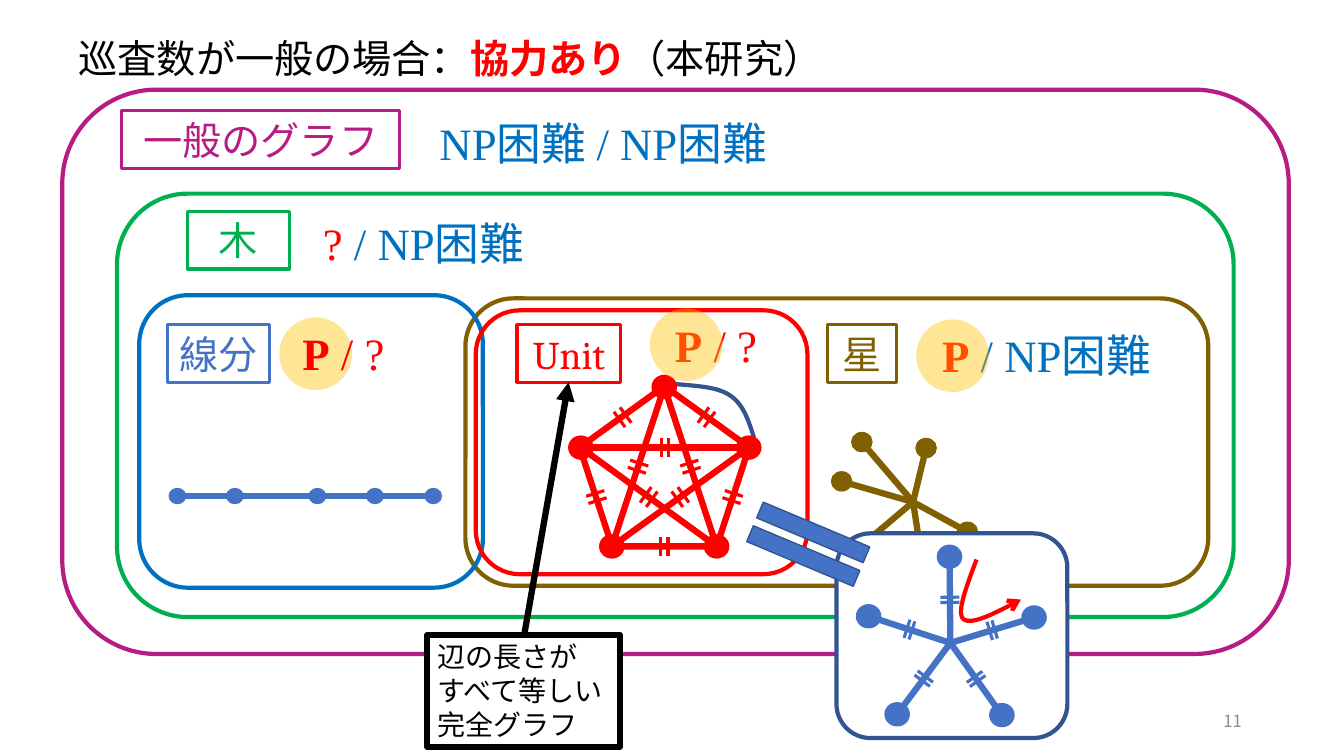
import dataclasses
import itertools
import math

import lxml.etree
import pptx
import pptx.dml.color
import pptx.enum.shapes
import pptx.enum.text
import pptx.oxml.ns
import pptx.util

Cm = pptx.util.Cm
qn = pptx.oxml.ns.qn
SHAPE = pptx.enum.shapes.MSO_SHAPE
ALIGN = pptx.enum.text.PP_ALIGN
ANCHOR = pptx.enum.text.MSO_ANCHOR


@dataclasses.dataclass(frozen=True)
class Theme:
    black: str = "000000"
    white: str = "FFFFFF"
    red: str = "FF0000"
    purple: str = "B61C83"
    green: str = "00B050"
    brown: str = "806000"
    blue: str = "0070C0"
    steel: str = "4472C4"
    navy: str = "325491"
    amber: str = "FFC000"
    grey: str = "8C8C8C"
    japanese: str = "Noto Sans CJK JP"
    serif: str = "Times New Roman"
    unit: str = "Cambria"
    result_size: int = 32
    label_size: int = 28
    note_size: int = 20
    number_size: int = 12
    node_line: float = 1
    tick_line: float = 2.25
    frame_line: float = 3
    edge_line: float = 4.5


class Board:
    def __init__(self, slide, theme):
        self.slide = slide
        self.theme = theme

    def color(self, value):
        return pptx.dml.color.RGBColor.from_string(value)

    def shape(self, kind, box, line=None, width=1, fill=None, alpha=None):
        shape = self.slide.shapes.add_shape(kind, *map(Cm, box))
        return self.paint(shape, line, width, fill, alpha)

    def paint(self, shape, line, width, fill=None, alpha=None):
        shape.shadow.inherit = False
        if fill:
            shape.fill.solid()
            shape.fill.fore_color.rgb = self.color(fill)
        else:
            shape.fill.background()
        if alpha:
            fill_color = shape.element.spPr.find(qn("a:solidFill"))[0]
            lxml.etree.SubElement(fill_color, qn("a:alpha"), val=str(alpha * 1000))
        if line:
            shape.line.color.rgb = self.color(line)
            shape.line.width = pptx.util.Pt(width)
        else:
            shape.line.fill.background()
        return shape

    def arrowhead(self, shape, kind):
        line = shape.element.spPr.find(qn("a:ln"))
        lxml.etree.SubElement(line, qn("a:tailEnd"), type=kind)

    def frame(self, box, line, fill=None):
        self.shape(SHAPE.ROUNDED_RECTANGLE, box, line, self.theme.frame_line, fill)

    def node(self, center, color, width=0.61, height=0.58):
        x, y = center
        box = (x - width / 2, y - height / 2, width, height)
        self.shape(SHAPE.OVAL, box, color, self.theme.node_line, color)

    def halo(self, left, top):
        self.shape(SHAPE.OVAL, (left, top, 1.83, 1.83), fill=self.theme.amber, alpha=41)

    def edge(self, start, end, color, width=None, head=None):
        connector = self.slide.shapes.add_connector(
            pptx.enum.shapes.MSO_CONNECTOR.STRAIGHT, *map(Cm, (*start, *end)))
        connector.line.color.rgb = self.color(color)
        connector.line.width = pptx.util.Pt(width or self.theme.edge_line)
        lxml.etree.SubElement(connector.element.spPr, qn("a:effectLst"))
        if head:
            self.arrowhead(connector, head)

    def ticks(self, start, end, color, gap):
        (x1, y1), (x2, y2) = start, end
        length = math.dist(start, end)
        along_x, along_y = (x2 - x1) / length, (y2 - y1) / length
        half = 0.24
        for offset in (-gap / 2, gap / 2):
            x = (x1 + x2) / 2 + offset * along_x
            y = (y1 + y2) / 2 + offset * along_y
            self.edge((x - half * along_y, y + half * along_x),
                      (x + half * along_y, y - half * along_x),
                      color, self.theme.tick_line)

    def curve(self, controls, color, head=None):
        steps = 16
        points = []
        for first in range(0, len(controls) - 1, 3):
            for step in range(1, steps + 1):
                t = step / steps
                weights = [math.comb(3, k) * t**k * (1 - t)**(3 - k) for k in range(4)]
                section = controls[first:first + 4]
                points.append(tuple(
                    Cm(sum(weight * point[axis] for weight, point in zip(weights, section)))
                    for axis in (0, 1)))
        builder = self.slide.shapes.build_freeform(*map(Cm, controls[0]))
        builder.add_line_segments(points, close=False)
        shape = self.paint(builder.convert_to_shape(), color, self.theme.frame_line)
        if head:
            self.arrowhead(shape, head)

    def fill_text(self, shape, paragraphs, size, color=None, font=None,
                  align=ALIGN.LEFT, anchor=ANCHOR.TOP, wrap=True):
        frame = shape.text_frame
        frame.word_wrap = wrap
        frame.auto_size = pptx.enum.text.MSO_AUTO_SIZE.NONE
        frame.vertical_anchor = anchor
        for index, runs in enumerate(paragraphs):
            paragraph = frame.add_paragraph() if index else frame.paragraphs[0]
            paragraph.alignment = align
            self.style(paragraph.font, color, font)
            paragraph.font.size = pptx.util.Pt(size)
            for text, *run_style in runs:
                run = paragraph.add_run()
                run.text = text
                self.style(run.font, *run_style)
        for latin in list(shape.element.iter(qn("a:latin"))):
            east_asian = lxml.etree.Element(qn("a:ea"), typeface=latin.get("typeface"))
            latin.addnext(east_asian)

    def style(self, target, color=None, font=None, bold=None):
        if color:
            target.color.rgb = self.color(color)
        if font:
            target.name = font
        if bold is not None:
            target.bold = bold

    def title(self, box, runs):
        title = self.slide.shapes.title
        title.left, title.top, title.width, title.height = map(Cm, box)
        self.fill_text(title, [runs], self.theme.label_size, font=self.theme.japanese, wrap=False)

    def label(self, box, text, color, font=None):
        shape = self.shape(SHAPE.RECTANGLE, box, color, self.theme.tick_line)
        self.fill_text(shape, [[(text,)]], self.theme.label_size, color,
                       font or self.theme.japanese, ALIGN.CENTER, ANCHOR.MIDDLE)

    def text(self, box, runs, size, **options):
        self.fill_text(self.slide.shapes.add_textbox(*map(Cm, box)), [runs], size, **options)


def main():
    presentation = pptx.Presentation()
    presentation.slide_width, presentation.slide_height = Cm(33.87), Cm(19.05)
    theme = Theme()
    board = Board(presentation.slides.add_slide(presentation.slide_layouts[5]), theme)

    board.title((1.73, 0.74, 19.46, 1.45), [
        ("巡査数が一般の場合：", theme.black), ("協力あり", theme.red, None, True),
        ("（本研究）", theme.black)])
    board.halo(7.04, 8.0)
    board.frame((11.73, 7.52, 18.72, 7.24), theme.brown)
    board.frame((1.57, 2.26, 30.91, 14.22), theme.purple)
    board.label((3.07, 2.79, 7.01, 1.45), "一般のグラフ", theme.purple)
    board.label((4.22, 8.18, 2.57, 1.45), "線分", theme.steel)
    board.frame((3.51, 7.44, 8.66, 7.37), theme.blue)
    board.label((4.72, 5.33, 2.57, 1.45), "木", theme.green)
    board.frame((2.95, 4.88, 28.14, 10.67), theme.green)
    board.label((13.03, 8.18, 2.62, 1.45), "Unit", theme.red, theme.unit)
    board.frame((11.99, 7.82, 8.36, 6.65), theme.red)
    polynomial = ("P", theme.red, theme.serif, True)
    unknown = [polynomial, (" / ?", theme.red, theme.serif)]
    hard = [(" / NP", theme.blue, theme.serif), ("困難", theme.blue, theme.japanese)]
    board.text((16.76, 7.87, 2.69, 1.63), unknown, theme.result_size, wrap=False)

    brown_center = (23.01, 12.65)
    brown_tips = [(21.72, 11.14), (23.34, 11.29), (24.38, 13.4), (21.21, 12.13)]
    for tip in brown_tips + [(23.27, 14.33), (21.72, 13.74)]:
        board.edge(brown_center, tip, theme.brown)
    for tip in brown_tips:
        board.node(tip, theme.brown, 0.51, 0.48)
    board.label((20.85, 8.18, 1.75, 1.45), "星", theme.brown)

    board.frame((21.08, 13.44, 5.82, 5.16), theme.navy, theme.white)
    star_center = (23.95, 16.2)
    for tip in [(23.93, 14.03), (26.06, 15.56), (25.25, 18.02), (22.61, 18), (21.89, 15.53)]:
        board.edge(star_center, tip, theme.steel)
        board.node(tip, theme.steel)
        board.ticks(star_center, tip, theme.steel, 0.13)
    board.curve([(24.61, 14.1), (24.36, 14.78), (24.1, 15.44), (24.28, 15.6),
                 (24.49, 15.77), (25.1, 15.44), (25.73, 15.11)], theme.red, "arrow")
    equal_sign = board.shape(SHAPE.MATH_EQUAL, (18.39, 12.8, 3.96, 1.83),
                             theme.navy, theme.node_line, theme.steel)
    equal_sign.rotation = 22.8
    board.curve([(17.04, 9.68), (17.58, 9.73), (18.11, 9.75), (18.42, 9.98),
                 (18.75, 10.21), (18.87, 10.62), (19, 11.02)], theme.navy)

    corners = [(16.74, 9.75), (18.87, 11.28), (18.06, 13.77), (15.42, 13.77), (14.64, 11.28)]
    board.shape(SHAPE.REGULAR_PENTAGON, (14.61, 9.73, 4.27, 4.04), theme.red, theme.edge_line)
    for first, second in itertools.combinations(range(5), 2):
        if second - first in (2, 3):
            board.edge(corners[first], corners[second], theme.red)
        board.ticks(corners[first], corners[second], theme.red, 0.19)
    for corner in corners:
        board.node(corner, theme.red)

    note = board.shape(SHAPE.RECTANGLE, (10.77, 16, 4.85, 2.82), theme.black,
                       theme.edge_line, theme.white)
    board.fill_text(note, [[("辺の長さが",)], [("すべて等しい",)], [("完全グラフ",)]],
                    theme.note_size, theme.black, theme.japanese)
    board.edge((13.21, 16), (14.33, 9.63), theme.black, head="triangle")

    board.text((10.01, 2.79, 10.39, 1.63), [
        ("NP", theme.blue, theme.serif), ("困難 ", theme.blue, theme.japanese),
        ("/ NP", theme.blue, theme.serif), hard[1]], theme.result_size, align=ALIGN.CENTER)
    board.text((7.39, 5.31, 6.58, 1.63), [("?", theme.red, theme.serif), *hard],
               theme.result_size, align=ALIGN.CENTER)
    board.text((7.37, 8.08, 2.69, 1.63), unknown, theme.result_size, wrap=False)
    board.text((23.09, 8.13, 6.58, 1.63), [polynomial, *hard],
               theme.result_size, align=ALIGN.CENTER)

    board.edge((4.47, 12.5), (11, 12.5), theme.steel)
    for x in (4.47, 5.92, 8, 9.45, 10.92):
        board.node((x, 12.5), theme.steel, 0.41, 0.38)
    board.halo(16.38, 7.77)
    board.halo(23.09, 8.05)
    board.text((23.93, 17.65, 7.62, 1.02), [("11",)], theme.number_size, color=theme.grey,
               font=theme.japanese, align=ALIGN.RIGHT, anchor=ANCHOR.MIDDLE)
    presentation.save("out.pptx")


if __name__ == "__main__":
    main()
